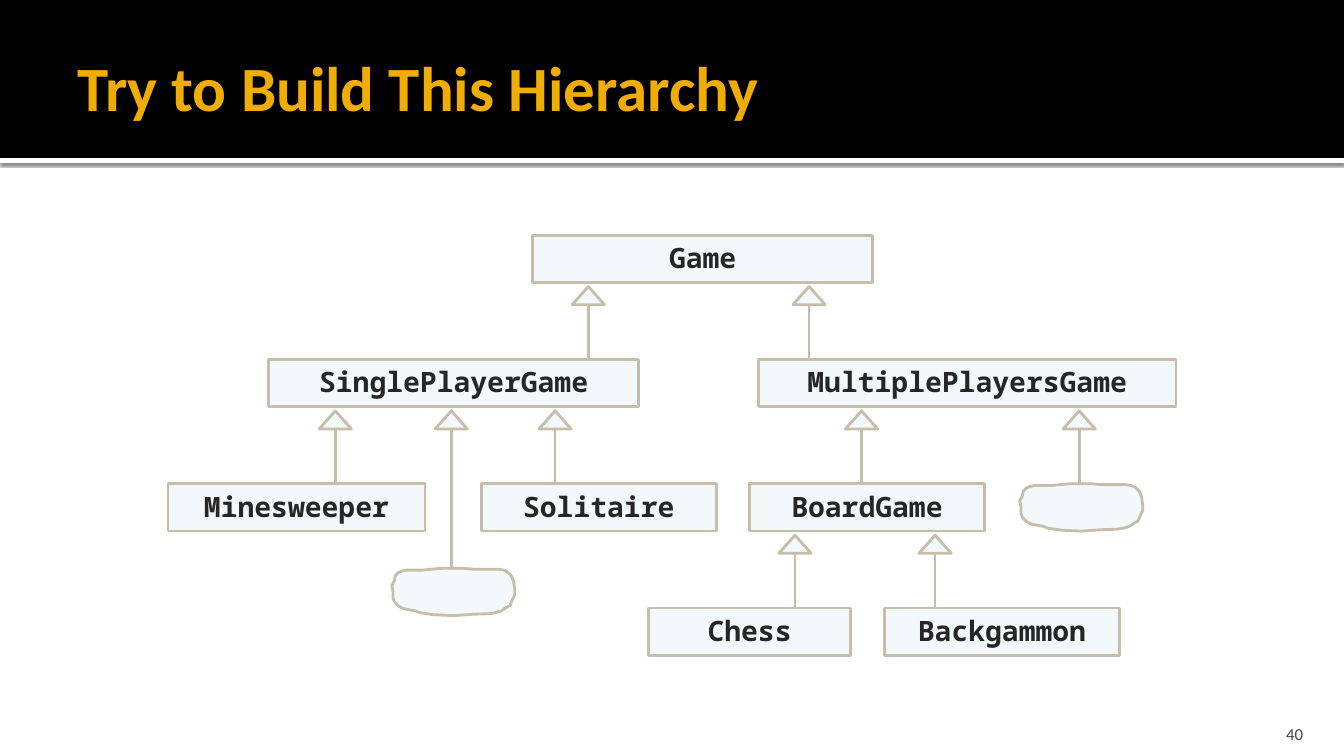
from collections import namedtuple
from dataclasses import dataclass

from lxml import etree
from pptx import Presentation
from pptx import util as u
from pptx.dml.color import RGBColor
from pptx.enum import shapes, text
from pptx.oxml import ns

Box = namedtuple("Box", "left top width height")
Node = namedtuple("Node", "name column row width arrow")


@dataclass(frozen=True)
class Theme:
    """Colours, fonts and type sizes of the slide."""
    band: str = "000000"
    rule: str = "FFFFFF"
    title: str = "F0AD00"
    number: str = "454545"
    node: str = "B5DBE5"
    outline: str = "C6BEAB"
    label: str = "262626"
    heading_font: str = "Calibri"
    code_font: str = "Noto Sans Mono"
    title_size: int = 45
    label_size: int = 20
    number_size: int = 12
    outline_width: int = 2
    node_opacity: int = 15


THEME = Theme()
SLIDE = Box(0, 0, u.Inches(13.333), u.Inches(7.5))
HIERARCHY = Box(0.125, 0.311, 0.75, 0.556)
NODE_HEIGHT = u.Inches(0.47)
ARROW_GAP = u.Inches(0.04)
ARROW_WIDTH = u.Inches(0.32)
ARROW_HEIGHT = u.Inches(0.18)

NODES = [
    Node("Game", 36.2, 0, 33.7, None),
    Node("SinglePlayerGame", 10, 1, 36.7, 41.7),
    Node("MultiplePlayersGame", 58.6, 1, 41.4, 63.6),
    Node("Minesweeper", 0, 2, 25.5, 16.6),
    Node("", 22.2, 2.68, 12.2, 28.1),
    Node("Solitaire", 31.1, 2, 23.3, 38.4),
    Node("BoardGame", 57.7, 2, 23.3, 68.8),
    Node("", 84.5, 2, 12.2, 90.4),
    Node("Chess", 47.7, 3, 20, 62.2),
    Node("Backgammon", 71.1, 3, 23.3, 76.1),
]
CLOUD = [
    (0, 36), (2, 27), (3, 15), (5, 10), (8, 6), (12, 4), (25, 4), (33, 2),
    (41, 0), (58, 0), (66, 2), (86, 2), (91, 4), (94, 8), (97, 15), (99, 27),
    (100, 46), (100, 56), (98, 67), (96, 79), (93, 83), (89, 90), (84, 94),
    (79, 96), (67, 97), (50, 100), (34, 98), (23, 94), (19, 90), (9, 85),
    (5, 79), (2, 70), (1, 62), (1, 48),
]


def part(box, left, top, width, height):
    """Return the box lying at the given shares of another box."""
    return Box(int(box.left + left * box.width), int(box.top + top * box.height),
               int(width * box.width), int(height * box.height))


def write(shape, words, font_name, size, colour, bold, align, anchor):
    """Put one styled paragraph into a shape and return the paragraph."""
    frame = shape.text_frame
    frame.word_wrap = True
    frame.vertical_anchor = anchor
    frame.text = words
    paragraph = frame.paragraphs[0]
    paragraph.alignment = align
    font = paragraph.runs[0].font
    font.name, font.size, font.bold = font_name, u.Pt(size), bold
    font.color.rgb = RGBColor.from_string(colour)
    return paragraph


def add_bar(slide, box, colour):
    """Add a plain borderless rectangle."""
    bar = slide.shapes.add_shape(shapes.MSO_SHAPE.RECTANGLE, *box)
    bar.shadow.inherit = False
    bar.fill.solid()
    bar.fill.fore_color.rgb = RGBColor.from_string(colour)
    bar.line.fill.background()
    return bar


def add_header(slide, box):
    """Add the title band with its shadowed rule and the title."""
    rule = add_bar(slide, part(box, 0, 1, 1, 0.032), THEME.rule)
    effects = rule._element.spPr.find(ns.qn("a:effectLst"))
    shadow = etree.SubElement(effects, ns.qn("a:outerShdw"), blurRad=str(u.Pt(2.5)),
                              dist=str(u.Pt(0.8)), dir="5400000", rotWithShape="0")
    black = etree.SubElement(shadow, ns.qn("a:srgbClr"), val=THEME.band)
    etree.SubElement(black, ns.qn("a:alpha"), val="60000")
    add_bar(slide, box, THEME.band)
    title = slide.shapes.add_textbox(*part(box, 0.05, 0.11, 0.69, 0.87))
    write(title, "Try to Build This Hierarchy", THEME.heading_font, THEME.title_size,
          THEME.title, True, text.PP_ALIGN.LEFT, text.MSO_ANCHOR.MIDDLE)


def add_page_number(slide, box):
    """Add the slide number at the bottom right."""
    number = slide.shapes.add_textbox(*box)
    number.text_frame.margin_bottom = 0
    write(number, "40", THEME.heading_font, THEME.number_size, THEME.number, False,
          text.PP_ALIGN.RIGHT, text.MSO_ANCHOR.BOTTOM)


def style_outline(line):
    """Give a line the outline colour and width."""
    line.color.rgb = RGBColor.from_string(THEME.outline)
    line.width = u.Pt(THEME.outline_width)


def style_node(shape):
    """Give a shape the pale fill and outline of the diagram."""
    shape.shadow.inherit = False
    shape.fill.solid()
    shape.fill.fore_color.rgb = RGBColor.from_string(THEME.node)
    colour = shape._element.spPr.find(ns.qn("a:solidFill"))[0]
    etree.SubElement(colour, ns.qn("a:alpha"), val=str(THEME.node_opacity * 1000))
    style_outline(shape.line)


def add_class(slide, box, name):
    """Add a labelled class rectangle."""
    rectangle = slide.shapes.add_shape(shapes.MSO_SHAPE.RECTANGLE, *box)
    style_node(rectangle)
    label = write(rectangle, name, THEME.code_font, THEME.label_size, THEME.label, True,
                  text.PP_ALIGN.CENTER, text.MSO_ANCHOR.MIDDLE)
    label.line_spacing = 0.95


def add_cloud(slide, box):
    """Add the hand-drawn outline of an open class."""
    corners = [part(box, x / 100, y / 100, 0, 0)[:2] for x, y in CLOUD]
    builder = slide.shapes.build_freeform(*corners[0])
    builder.add_line_segments(corners[1:], close=True)
    style_node(builder.convert_to_shape())


def add_inheritance(slide, x, parent_bottom, child_top):
    """Add a hollow arrow from a child up to its parent."""
    tip = parent_bottom + ARROW_GAP
    base = tip + ARROW_HEIGHT
    head = slide.shapes.add_shape(shapes.MSO_SHAPE.ISOSCELES_TRIANGLE,
                                  x - ARROW_WIDTH // 2, tip, ARROW_WIDTH, ARROW_HEIGHT)
    style_node(head)
    stem = slide.shapes.add_connector(shapes.MSO_CONNECTOR.STRAIGHT, x, base, x, child_top)
    style_outline(stem.line)
    etree.SubElement(stem._element.spPr, ns.qn("a:effectLst"))


def add_hierarchy(slide, box):
    """Add the class tree on percent columns and four equal rows."""
    pitch = (box.height - NODE_HEIGHT) / 3
    for node in NODES:
        place = Box(int(box.left + node.column / 100 * box.width),
                    int(box.top + node.row * pitch),
                    int(node.width / 100 * box.width), NODE_HEIGHT)
        if node.name:
            add_class(slide, place, node.name)
        else:
            add_cloud(slide, place)
        if node.arrow is not None:
            parent_row = int(node.row) - 1
            parent_bottom = int(box.top + parent_row * pitch) + NODE_HEIGHT
            arrow_x = int(box.left + node.arrow / 100 * box.width)
            add_inheritance(slide, arrow_x, parent_bottom, place.top)


def main():
    """Build the slide and save it."""
    deck = Presentation()
    deck.slide_width, deck.slide_height = SLIDE.width, SLIDE.height
    slide = deck.slides.add_slide(deck.slide_layouts[6])
    add_header(slide, part(SLIDE, 0, 0, 1, 0.209))
    add_hierarchy(slide, part(SLIDE, *HIERARCHY))
    add_page_number(slide, part(SLIDE, 0.897, 0.944, 0.08, 0.04))
    deck.save("out.pptx")


if __name__ == "__main__":
    main()
